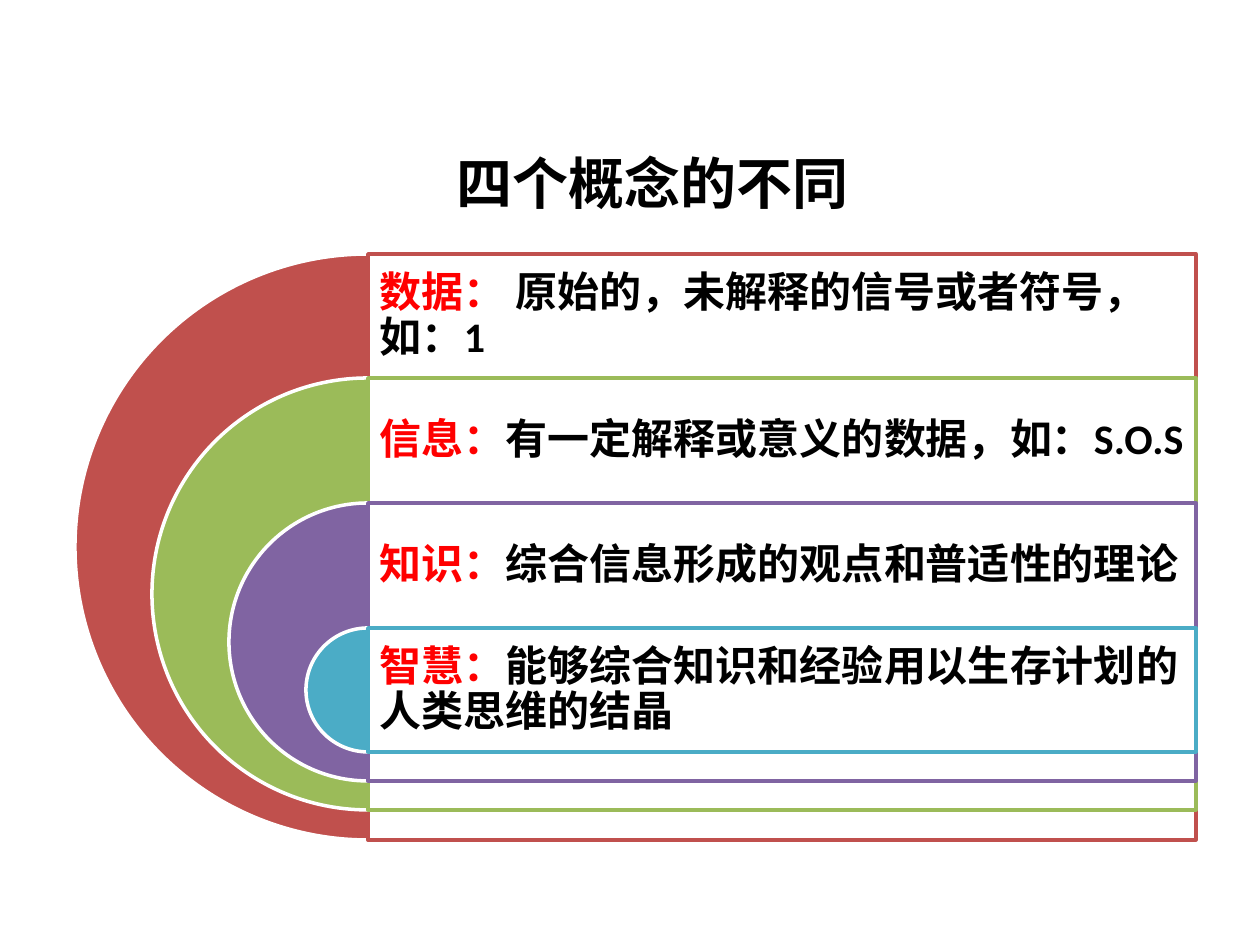
from lxml import etree
from pptx import Presentation
from pptx.dml.color import RGBColor
from pptx.enum.shapes import MSO_SHAPE
from pptx.enum.text import MSO_ANCHOR, PP_ALIGN
from pptx.oxml.ns import qn
from pptx.util import Emu, Pt

PIE, RECTANGLE = MSO_SHAPE.PIE, MSO_SHAPE.RECTANGLE
MIDDLE = MSO_ANCHOR.MIDDLE
LEFT, CENTER = PP_ALIGN.LEFT, PP_ALIGN.CENTER

PX = 914400 // 126
COLORS = {
    "white": "FFFFFF", "black": "000000", "term": "FF0000",
    "data": "C0504D", "information": "9BBB59",
    "knowledge": "8064A2", "wisdom": "4BACC6",
}
CONCEPTS = [
    ("data", "数据： ", "原始的，未解释的信号或者符号，如：1"),
    ("information", "信息：", "有一定解释或意义的数据，如：S.O.S"),
    ("knowledge", "知识：", "综合信息形成的观点和普适性的理论"),
    ("wisdom", "智慧：", "能够综合知识和经验用以生存计划的人类思维的结晶"),
]
PANEL_LEFT, PANEL_WIDTH = 368, 828
TOP, LAST_TOP, ROW_HEIGHT = 254, 628, 125
DIAMETER, DIAMETER_STEP = 586, 154


class SlideBuilder:
    """Draws styled elements on the current slide."""

    def __init__(self, slide):
        self.slide = slide
        self.shapes = slide.shapes

    def color(self, name):
        return RGBColor.from_string(COLORS[name])

    def start_group(self):
        self.shapes = self.slide.shapes.add_group_shape().shapes

    def shape(self, kind, box, fill, line):
        shape = self.shapes.add_shape(kind, *(Emu(n * PX) for n in box))
        shape.shadow.inherit = False
        shape.fill.solid()
        shape.fill.fore_color.rgb = self.color(fill)
        shape.line.color.rgb = self.color(line)
        shape.line.width = Pt(2)
        return shape

    def half_disc(self, center, top, diameter, fill):
        box = (center - diameter // 2, top, diameter, diameter)
        shape = self.shape(PIE, box, fill, "white")
        shape.adjustments[0] = 54
        shape.adjustments[1] = 162

    def panel(self, box, line):
        shape = self.shape(RECTANGLE, box, "white", line)
        color = shape.fill._xPr.find(qn("a:solidFill"))[0]
        etree.SubElement(color, qn("a:alpha"), val="90000")

    def text(self, box, runs, size, font, align=LEFT, inset=0, spacing=1.0):
        shape = self.shapes.add_textbox(*(Emu(n * PX) for n in box))
        frame = shape.text_frame
        frame.word_wrap = True
        frame.vertical_anchor = MIDDLE
        frame.margin_left = frame.margin_right = Emu(inset * PX)
        frame.margin_top = frame.margin_bottom = Emu(inset * PX)
        paragraph = frame.paragraphs[0]
        paragraph.alignment = align
        paragraph.line_spacing = spacing
        paragraph.font.size = Pt(size)
        paragraph.font.name = font
        paragraph.font.bold = True
        for content, color in runs:
            run = paragraph.add_run()
            run.text = content
            run.font.color.rgb = self.color(color)


def main():
    presentation = Presentation()
    presentation.slide_width = Emu(1260 * PX)
    presentation.slide_height = Emu(945 * PX)
    slide = presentation.slides.add_slide(presentation.slide_layouts[6])
    builder = SlideBuilder(slide)

    builder.text((399, 146, 507, 72), [("四个概念的不同", "black")],
                 32, "Noto Sans CJK SC", align=CENTER)

    builder.start_group()
    for index, (name, term, meaning) in enumerate(CONCEPTS):
        top = TOP + (LAST_TOP - TOP) * index // (len(CONCEPTS) - 1)
        diameter = DIAMETER - DIAMETER_STEP * index
        builder.half_disc(PANEL_LEFT, top, diameter, name)
        builder.panel((PANEL_LEFT, top, PANEL_WIDTH, diameter), name)
        builder.text((PANEL_LEFT, top, PANEL_WIDTH, ROW_HEIGHT),
                     [(term, "term"), (meaning, "black")],
                     24, "Calibri", inset=12, spacing=0.9)

    presentation.save("out.pptx")


if __name__ == "__main__":
    main()
